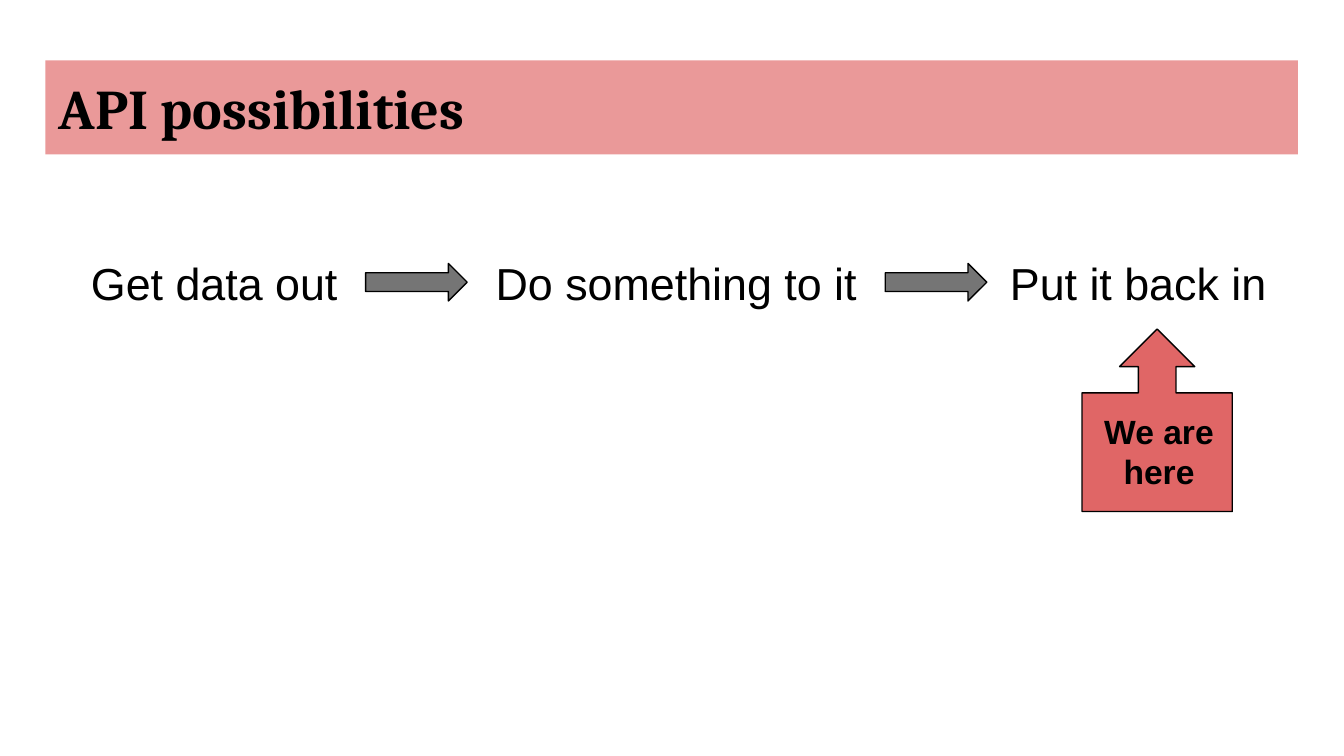
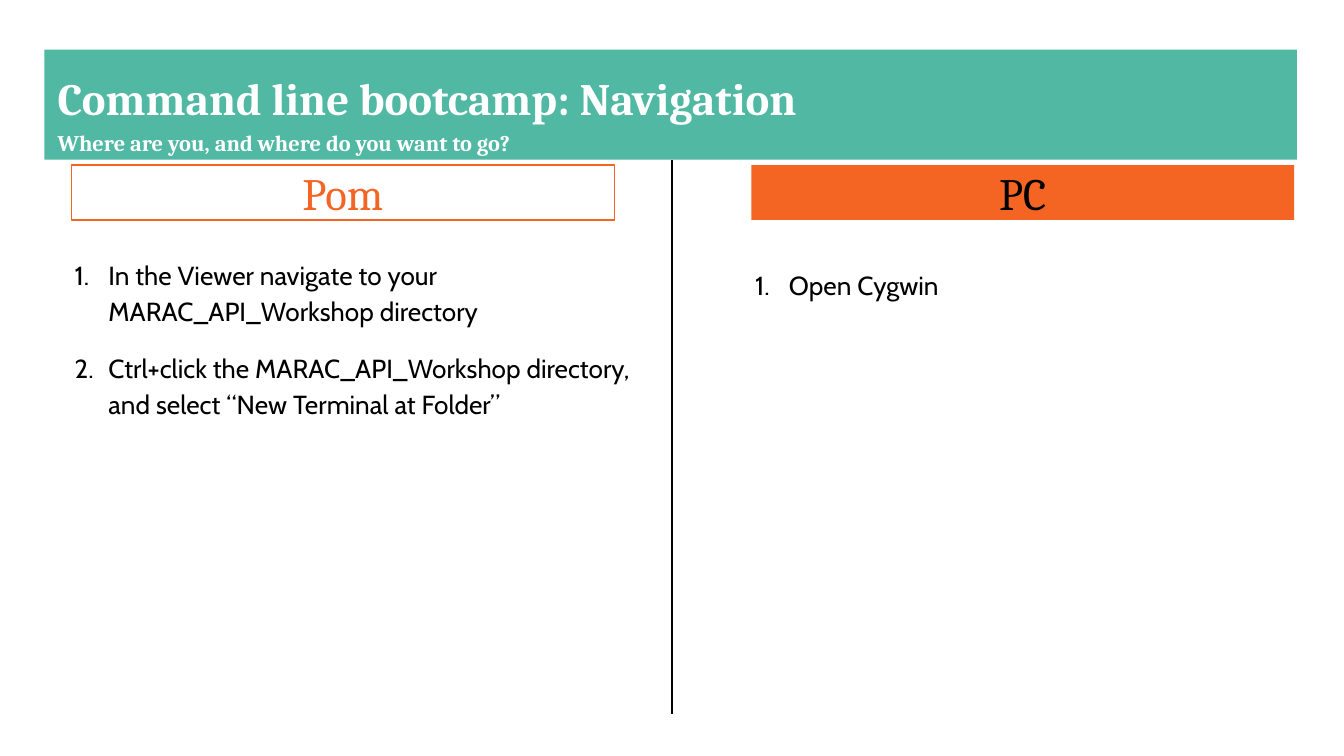
from lxml.etree import SubElement
from pptx import Presentation
from pptx.dml.color import RGBColor
from pptx.enum.shapes import MSO_CONNECTOR, MSO_SHAPE
from pptx.enum.text import MSO_ANCHOR, PP_ALIGN
from pptx.oxml.ns import qn
from pptx.util import Cm, Pt

BLACK, WHITE, GREY = "000000", "FFFFFF", "757575"
PINK, RED, TEAL, ORANGE = "EA9999", "E06666", "51B9A3", "F46524"
BODY, HEADING, LIST = "Arial", "Cambria", "Cabin"
INSET = 0.25
BAND_WIDTH = 23.67


def color(value):
    """Turn a hex string into a colour."""
    return RGBColor.from_string(value)


def write(shape, lines, sizes, font, ink=BLACK, bold=False,
          align=PP_ALIGN.LEFT, anchor=MSO_ANCHOR.TOP, spacing=None):
    """Fill a shape with one paragraph per line and return the paragraphs."""
    frame = shape.text_frame
    frame.word_wrap = True
    frame.vertical_anchor = anchor
    frame.margin_left = frame.margin_right = Cm(INSET)
    frame.margin_top = frame.margin_bottom = Cm(INSET)
    frame.text = "\n".join(lines)
    for paragraph, size in zip(frame.paragraphs, sizes):
        paragraph.alignment = align
        paragraph.line_spacing = spacing
        for run in paragraph.runs:
            run.font.name = font
            run.font.size = Pt(size)
            run.font.bold = bold
            run.font.color.rgb = color(ink)
    return frame.paragraphs


def add_text(slide, left, top, width, height):
    """Add an empty text box."""
    return slide.shapes.add_textbox(Cm(left), Cm(top), Cm(width), Cm(height))


def add_block(slide, kind, left, top, width, height, fill=None, line=None):
    """Add a preset shape with an optional fill and thin outline."""
    shape = slide.shapes.add_shape(kind, Cm(left), Cm(top), Cm(width), Cm(height))
    shape.shadow.inherit = False
    if fill:
        shape.fill.solid()
        shape.fill.fore_color.rgb = color(fill)
    else:
        shape.fill.background()
    if line:
        shape.line.color.rgb = color(line)
        shape.line.width = Pt(0.75)
    else:
        shape.line.fill.background()
    return shape


def add_title(slide, left, top, height, fill, lines, sizes, ink, spacing=None):
    """Add the coloured title band."""
    band = add_block(slide, MSO_SHAPE.RECTANGLE, left, top, BAND_WIDTH, height, fill)
    write(band, lines, sizes, HEADING, ink, bold=True, spacing=spacing)


def add_flow(slide, steps, left, gap):
    """Lay out step labels in a row with an arrow in each gap."""
    for index, (label, width) in enumerate(steps):
        if index:
            add_block(slide, MSO_SHAPE.RIGHT_ARROW, left, 4.98, gap, 0.71, GREY, BLACK)
            left += gap
        step = add_text(slide, left, 4.45, width, 1.78)
        write(step, [label], [24], BODY, align=PP_ALIGN.CENTER, anchor=MSO_ANCHOR.MIDDLE)
        left += width


def add_divider(slide, x, top, bottom):
    """Add a vertical line."""
    line = slide.shapes.add_connector(MSO_CONNECTOR.STRAIGHT, Cm(x), Cm(top), Cm(x), Cm(bottom))
    line.line.color.rgb = color(BLACK)
    line.line.width = Pt(0.75)
    SubElement(line._element.spPr, qn("a:effectLst"))


def add_header(slide, left, label, ink, fill=None, line=None):
    """Add the heading box of a column."""
    header = add_block(slide, MSO_SHAPE.RECTANGLE, left, 3.12, 10.26, 1.04, fill, line)
    write(header, [label], [24], HEADING, ink,
          align=PP_ALIGN.CENTER, anchor=MSO_ANCHOR.MIDDLE)


def add_numbered_list(slide, left, top, items):
    """Add a numbered list with space between the items."""
    box = add_text(slide, left, top, 11.73, 9.53)
    paragraphs = write(box, items, [14] * len(items), LIST, spacing=1.15)
    for index, paragraph in enumerate(paragraphs):
        properties = paragraph._p.get_or_add_pPr()
        properties.set("marL", str(Cm(1.27)))
        properties.set("indent", str(Cm(-0.64)))
        SubElement(properties, qn("a:buAutoNum"), type="arabicPeriod")
        if index:
            paragraph.space_before = paragraph.space_after = Pt(11)


def build_possibilities(slide):
    """Build the slide on what an API makes possible."""
    steps = [("Get data out", 5.72), ("Do something to it", 7.9), ("Put it back in", 5.72)]
    add_flow(slide, steps, 1.19, 1.92)
    callout = add_block(slide, MSO_SHAPE.UP_ARROW_CALLOUT, 20.45, 6.22, 2.84, 3.45, RED, BLACK)
    for index, value in enumerate((0.25, 0.25, 0.25, 0.65)):
        callout.adjustments[index] = value
    marker = add_text(slide, 20.52, 7.52, 2.77, 2.03)
    write(marker, ["We are here"], [18], BODY, bold=True, align=PP_ALIGN.CENTER)
    add_title(slide, 0.86, 1.14, 1.78, PINK, ["API possibilities"], [30], BLACK)


def build_navigation(slide):
    """Build the two-column slide on command line navigation."""
    add_divider(slide, 12.7, 3.02, 13.49)
    add_header(slide, 1.35, "Pom", ORANGE, line=ORANGE)
    add_header(slide, 14.2, "PC", BLACK, fill=ORANGE)
    add_numbered_list(slide, 0.53, 4.57, [
        "In the Viewer navigate to your MARAC_API_Workshop directory",
        "Ctrl+click the MARAC_API_Workshop directory, and select “New Terminal at Folder”",
    ])
    add_numbered_list(slide, 13.39, 4.75, ["Open Cygwin"])
    add_title(slide, 0.84, 0.94, 2.08, TEAL,
              ["Command line bootcamp: Navigation",
               "Where are you, and where do you want to go?"],
              [24, 12], WHITE, spacing=1.15)


def main():
    """Build and save the presentation."""
    presentation = Presentation()
    presentation.slide_width = Cm(25.4)
    presentation.slide_height = Cm(14.29)
    for build in (build_possibilities, build_navigation):
        build(presentation.slides.add_slide(presentation.slide_layouts[6]))
    presentation.save("out.pptx")


if __name__ == "__main__":
    main()
